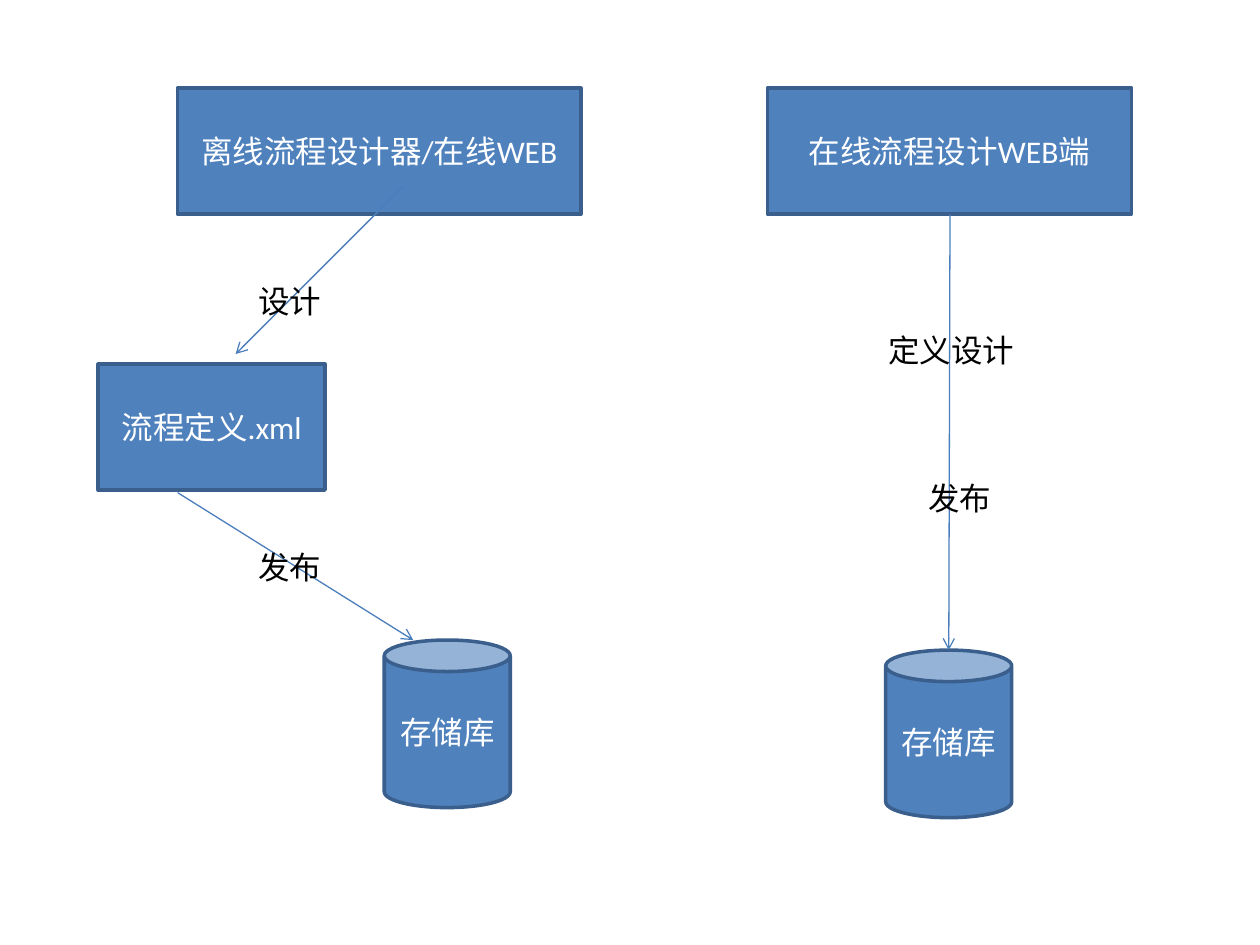
from lxml.etree import SubElement
from pptx import Presentation
from pptx.dml.color import RGBColor
from pptx.enum.shapes import MSO_CONNECTOR, MSO_SHAPE
from pptx.enum.text import MSO_ANCHOR, MSO_AUTO_SIZE, PP_ALIGN
from pptx.oxml.ns import qn
from pptx.util import Inches, Pt


def color(value):
    return RGBColor.from_string(value)


def write_text(shape, text, text_color, alignment):
    frame = shape.text_frame
    frame.word_wrap = False
    paragraph = frame.paragraphs[0]
    paragraph.text = text
    paragraph.alignment = alignment
    paragraph.font.size = Pt(18)
    paragraph.font.name = "Calibri"
    paragraph.font.color.rgb = color(text_color)


presentation = Presentation()
presentation.slide_width = Inches(10)
presentation.slide_height = Inches(7.5)
slide = presentation.slides.add_slide(presentation.slide_layouts[6])

nodes = [
    (MSO_SHAPE.RECTANGLE, 1.41, 0.7, 3.2, 1, "离线流程设计器/在线WEB"),
    (MSO_SHAPE.RECTANGLE, 0.78, 2.89, 1.8, 1, "流程定义.xml"),
    (MSO_SHAPE.CAN, 3.05, 5.08, 1, 1.33, "存储库"),
    (MSO_SHAPE.RECTANGLE, 6.09, 0.7, 2.89, 1, "在线流程设计WEB端"),
    (MSO_SHAPE.CAN, 7.03, 5.16, 1, 1.33, "存储库"),
]
for kind, left, top, width, height, text in nodes:
    shape = slide.shapes.add_shape(
        kind, Inches(left), Inches(top), Inches(width), Inches(height))
    shape.shadow.inherit = False
    shape.fill.solid()
    shape.fill.fore_color.rgb = color("4F81BD")
    shape.line.color.rgb = color("3A5F8C")
    shape.line.width = Pt(2)
    shape.text_frame.vertical_anchor = MSO_ANCHOR.MIDDLE
    write_text(shape, text, "FFFFFF", PP_ALIGN.CENTER)

arrows = [
    (3.2, 1.48, 1.87, 2.81),
    (1.41, 3.91, 3.28, 5.08),
    (7.54, 1.7, 7.53, 5.16),
]
for arrow in arrows:
    connector = slide.shapes.add_connector(
        MSO_CONNECTOR.STRAIGHT, *[Inches(value) for value in arrow])
    connector.line.color.rgb = color("4B7EBC")
    connector.line.width = Pt(0.75)
    SubElement(connector.line._get_or_add_ln(), qn("a:tailEnd"), type="arrow")
    SubElement(connector._element.spPr, qn("a:effectLst"))

labels = [
    (1.95, 2.19, 0.71, "设计"),
    (1.95, 4.3, 0.71, "发布"),
    (6.95, 2.58, 1.21, "定义设计"),
    (7.27, 3.75, 0.71, "发布"),
]
for left, top, width, text in labels:
    label = slide.shapes.add_textbox(
        Inches(left), Inches(top), Inches(width), Inches(0.4))
    label.text_frame.auto_size = MSO_AUTO_SIZE.SHAPE_TO_FIT_TEXT
    write_text(label, text, "000000", PP_ALIGN.LEFT)

presentation.save("out.pptx")
